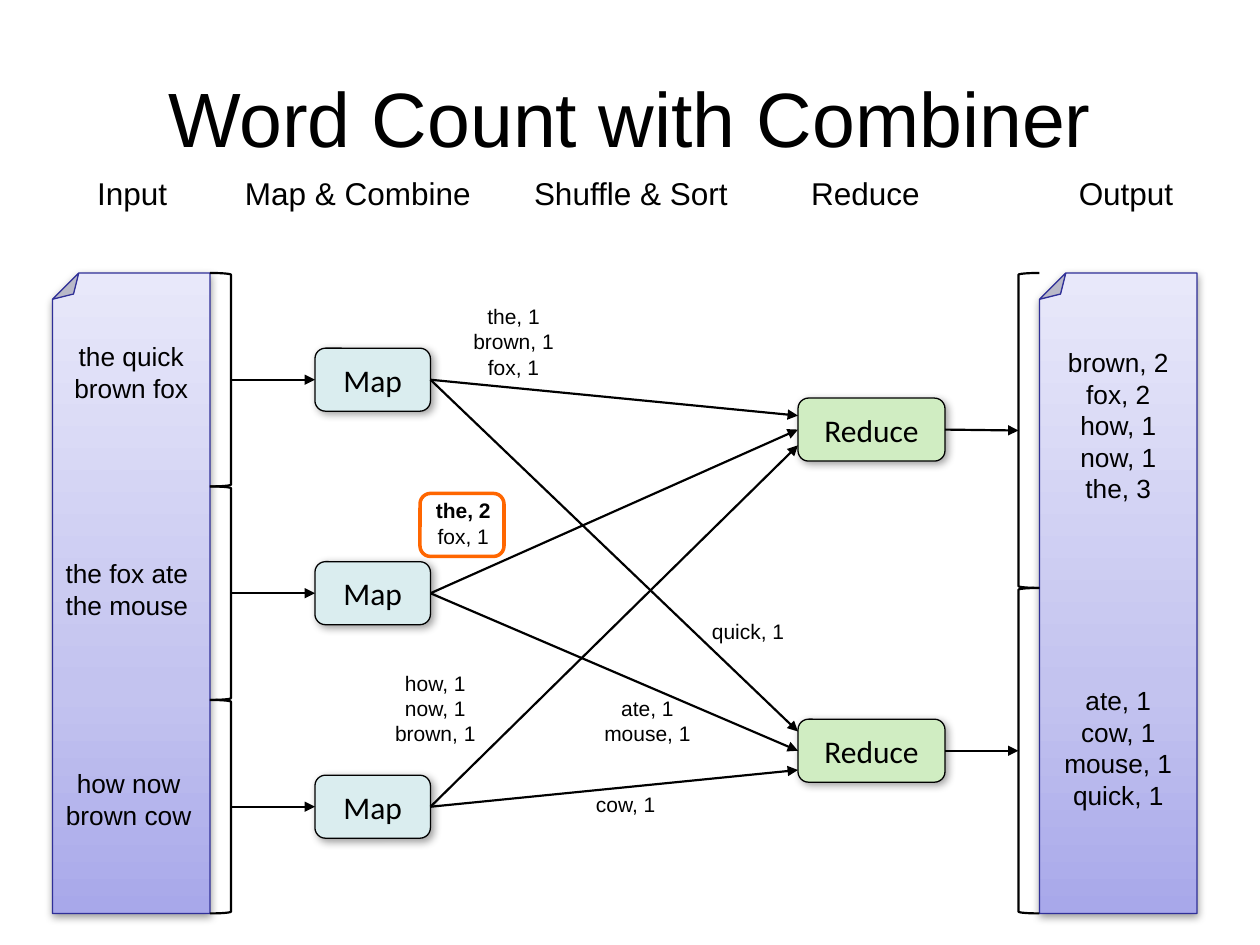
from copy import deepcopy

from pptx import Presentation
from pptx.dml.color import RGBColor
from pptx.enum.shapes import MSO_CONNECTOR, MSO_SHAPE as SHAPE
from pptx.enum.text import MSO_ANCHOR as ANCHOR, MSO_AUTO_SIZE as AUTO_SIZE, PP_ALIGN as ALIGN
from pptx.oxml import parse_xml
from pptx.oxml.ns import nsdecls, qn
from pptx.util import Pt

BLACK = "000000"
TOP, SHEET_WIDTH, SHEET_HEIGHT = 156, 90, 366
INPUT_LEFT, OUTPUT_LEFT = 30, 594
BRACKET_WIDTH = 12
SPLIT_HEIGHT = SHEET_HEIGHT / 3
MAP_LEFT, MAP_WIDTH = 180, 66
REDUCE_LEFT, REDUCE_WIDTH = 456, 84
NODE_HEIGHT = 36

HEADINGS = [
    ("Input", 48, 55),
    ("Map & Combine", 132, 145),
    ("Shuffle & Sort", 295, 131),
    ("Reduce", 456, 77),
    ("Output", 609, 69),
]
SHEET_TEXTS = [
    (["the quick", "brown fox"], INPUT_LEFT, 191, 90),
    (["the fox ate", "the mouse"], INPUT_LEFT, 315, 85),
    (["how now", "brown cow"], INPUT_LEFT, 435, 87),
    (["brown, 2", "fox, 2", "how, 1", "now, 1", "the, 3"], OUTPUT_LEFT, 194.5, 90),
    (["ate, 1", "cow, 1", "mouse, 1", "quick, 1"], OUTPUT_LEFT, 387.5, 90),
]
PAIR_TEXTS = [
    (["the, 1", "brown, 1", "fox, 1"], 263, 170, 61),
    (["quick, 1"], 399.5, 350, 56),
    (["how, 1", "now, 1", "brown, 1"], 217.5, 379.5, 62.5),
    (["ate, 1", "mouse, 1"], 338, 394, 64),
    (["cow, 1"], 333, 449, 49),
]
SHUFFLES = [(0, 0, -8), (0, 1, -11), (2, 0, 9), (1, 1, 0), (1, 0, 0), (2, 1, 11)]


def color(value):
    return RGBColor.from_string(value)


def add_run(paragraph, text, size, font="Arial", bold=False):
    run = paragraph.add_run()
    run.text = text
    run.font.name = font
    run.font.size = Pt(size)
    run.font.bold = bold
    run.font.color.rgb = color(BLACK)
    paragraph.alignment = ALIGN.CENTER


def add_text(slide, lines, left, top, width, size, bold_lines=()):
    height = len(lines) * size * 1.15 + 7.2
    box = slide.shapes.add_textbox(Pt(left), Pt(top), Pt(width), Pt(height))
    frame = box.text_frame
    frame.word_wrap = False
    frame.auto_size = AUTO_SIZE.SHAPE_TO_FIT_TEXT
    for index, line in enumerate(lines):
        paragraph = frame.add_paragraph() if index else frame.paragraphs[0]
        add_run(paragraph, line, size, bold=index in bold_lines)


def add_outline(slide, kind, left, top, width, height, line_color, line_width):
    shape = slide.shapes.add_shape(kind, Pt(left), Pt(top), Pt(width), Pt(height))
    shape.shadow.inherit = False
    shape.fill.background()
    shape.line.color.rgb = color(line_color)
    shape.line.width = Pt(line_width)
    return shape


def add_shadow(shape, distance, angle):
    shape._element.spPr.find(qn("a:effectLst")).append(parse_xml(
        f'<a:outerShdw {nsdecls("a")} blurRad="{Pt(5)}" dist="{Pt(distance)}" '
        f'dir="{angle * 60000}" rotWithShape="0"><a:srgbClr val="{BLACK}">'
        '<a:alpha val="38000"/></a:srgbClr></a:outerShdw>'))


def add_sheet(slide, left):
    sheet = add_outline(slide, SHAPE.FOLDED_CORNER, left, TOP,
                        SHEET_WIDTH, SHEET_HEIGHT, "2F2F98", 0.75)
    sheet.rotation = 180
    sheet.fill.gradient()
    sheet.fill.gradient_angle = 270
    stop_list = sheet._element.spPr.find(qn("a:gradFill")).find(qn("a:gsLst"))
    stop_list.insert(1, deepcopy(stop_list[0]))
    stops = [(0, "A8A8EA"), (0.35, "C3C3EF"), (1, "E8E8FA")]
    for stop, (position, value) in zip(sheet.fill.gradient_stops, stops):
        stop.position = position
        stop.color.rgb = color(value)
    add_shadow(sheet, 1.6, 90)


def add_bracket(slide, left, top, height, flipped=False):
    bracket = add_outline(slide, SHAPE.RIGHT_BRACKET, left, top,
                          BRACKET_WIDTH, height, BLACK, 1.25)
    if flipped:
        bracket._element.spPr.find(qn("a:xfrm")).set("flipH", "1")


def add_node(slide, text, left, middle, width, fill):
    node = add_outline(slide, SHAPE.ROUNDED_RECTANGLE, left, middle - NODE_HEIGHT / 2,
                       width, NODE_HEIGHT, BLACK, 0.75)
    node.fill.solid()
    node.fill.fore_color.rgb = color(fill)
    add_shadow(node, 2, 45)
    node.text_frame.vertical_anchor = ANCHOR.MIDDLE
    add_run(node.text_frame.paragraphs[0], text, 18, "Calibri")
    return node


def add_arrow(slide, start, end, source=None, target=None):
    arrow = slide.shapes.add_connector(
        MSO_CONNECTOR.STRAIGHT, *(Pt(value) for value in start + end))
    arrow.line.color.rgb = color(BLACK)
    arrow.line.width = Pt(1.25)
    properties = arrow._element.spPr
    properties.find(qn("a:ln")).append(
        parse_xml(f'<a:tailEnd {nsdecls("a")} type="triangle"/>'))
    properties.append(parse_xml(f'<a:effectLst {nsdecls("a")}/>'))
    if source is not None:
        arrow.begin_connect(source, 3)
    if target is not None:
        arrow.end_connect(target, 1)


def add_title(slide, text):
    title = slide.shapes.title
    title.left, title.top, title.width, title.height = Pt(36), Pt(21.6), Pt(648), Pt(90)
    title.text_frame.vertical_anchor = ANCHOR.MIDDLE
    add_run(title.text_frame.paragraphs[0], text, 44)


def add_flow(slide):
    map_middles = [TOP + SPLIT_HEIGHT * (index + 0.5) for index in range(3)]
    reduce_middles = [245.5, 429]
    input_edge = INPUT_LEFT + SHEET_WIDTH
    output_edge = OUTPUT_LEFT - BRACKET_WIDTH
    maps = [add_node(slide, "Map", MAP_LEFT, middle, MAP_WIDTH, "DAEDEF")
            for middle in map_middles]
    reduces = [add_node(slide, "Reduce", REDUCE_LEFT, middle, REDUCE_WIDTH, "D0EDC2")
               for middle in reduce_middles]

    for node, middle in zip(maps, map_middles):
        add_bracket(slide, input_edge, middle - SPLIT_HEIGHT / 2, SPLIT_HEIGHT)
        add_arrow(slide, (input_edge + BRACKET_WIDTH, middle), (MAP_LEFT, middle), target=node)
    for source, target, offset in SHUFFLES:
        add_arrow(slide, (MAP_LEFT + MAP_WIDTH, map_middles[source]),
                  (REDUCE_LEFT, reduce_middles[target] + offset),
                  maps[source], None if offset else reduces[target])
    for node, middle, top, height in zip(reduces, reduce_middles, (TOP, 336), (180, 186)):
        add_bracket(slide, output_edge, top, height, flipped=True)
        add_arrow(slide, (REDUCE_LEFT + REDUCE_WIDTH, middle),
                  (output_edge, top + height / 2), source=node)


def main():
    presentation = Presentation()
    presentation.slide_width, presentation.slide_height = Pt(720), Pt(540)
    slide = presentation.slides.add_slide(presentation.slide_layouts[5])
    add_title(slide, "Word Count with Combiner")
    for text, left, width in HEADINGS:
        add_text(slide, [text], left, 96, width, 18)
    add_outline(slide, SHAPE.ROUNDED_RECTANGLE, 240, 282, 48, 36, "FF6600", 2)
    for left in (INPUT_LEFT, OUTPUT_LEFT):
        add_sheet(slide, left)
    add_flow(slide)
    for lines, left, top, width in SHEET_TEXTS:
        add_text(slide, lines, left, top, width, 15)
    for lines, left, top, width in PAIR_TEXTS:
        add_text(slide, lines, left, top, width, 12)
    add_text(slide, ["the, 2", "fox, 1"], 241, 281, 47.5, 12, bold_lines=(0,))
    presentation.save("out.pptx")


if __name__ == "__main__":
    main()
